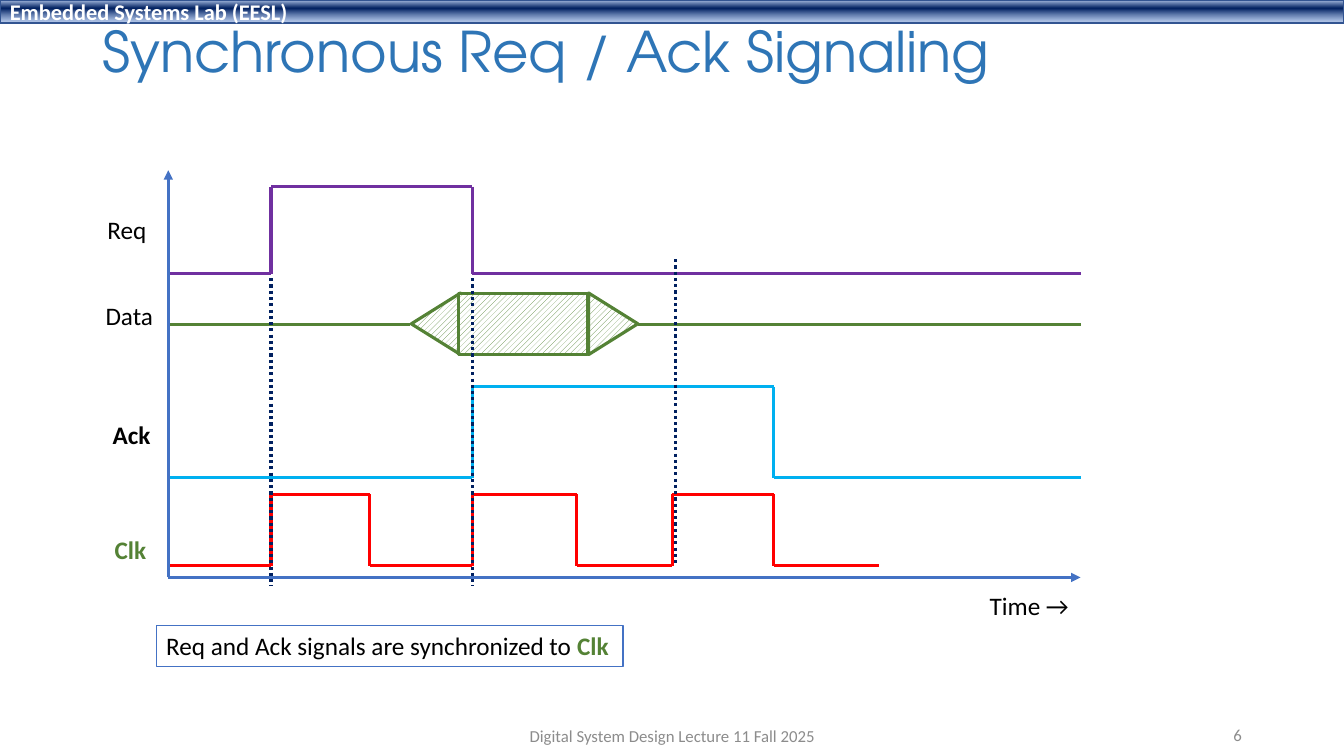
from dataclasses import dataclass
from itertools import pairwise

from lxml.etree import SubElement
from pptx import Presentation
from pptx.dml.color import RGBColor
from pptx.enum.dml import MSO_LINE_DASH_STYLE as Dash, MSO_PATTERN_TYPE as Pattern
from pptx.enum.shapes import MSO_CONNECTOR_TYPE as Connector, MSO_SHAPE as Shape
from pptx.enum.text import MSO_ANCHOR as Anchor, PP_ALIGN as Align
from pptx.oxml import parse_xml
from pptx.oxml.ns import nsdecls, qn
from pptx.util import Cm, Pt


@dataclass(frozen=True)
class Theme:
    body_font: str = "Calibri"
    title_font: str = "TeX Gyre Adventor"
    title_size: int = 40
    label_size: int = 18
    header_size: int = 16
    footer_size: int = 12
    signal_width: float = 2.25
    border_width: float = 1
    title: str = "2E75B6"
    text: str = "000000"
    white: str = "FFFFFF"
    footer: str = "8C8C8C"
    axis: str = "4472C4"
    marker: str = "002060"
    header_line: str = "325491"
    req: str = "7030A0"
    data: str = "548235"
    ack: str = "00B0F0"
    clk: str = "FF0000"
    # Position %, colour, opacity %
    header_stops: tuple = ((2, "ABC0E4", 100), (38, "002060", 100), (93, "7E9ED6", 64))


def rgb(value):
    return RGBColor.from_string(value)


class TimingSlide:
    def __init__(self, slide, theme):
        self.shapes = slide.shapes
        self.theme = theme

    def line(self, start, end, color, dash=None, arrow=False):
        connector = self.shapes.add_connector(
            Connector.STRAIGHT, *(Cm(value) for value in (*start, *end)))
        connector.line.color.rgb = rgb(color)
        connector.line.width = Pt(self.theme.signal_width)
        if dash:
            connector.line.dash_style = dash
        properties = connector._element.spPr
        if arrow:
            SubElement(properties.find(qn("a:ln")), qn("a:tailEnd"), type="triangle")
        SubElement(properties, qn("a:effectLst"))

    def waveform(self, points, color):
        for start, end in pairwise(points):
            self.line(start, end, color)

    def box(self, kind, position, color, width):
        shape = self.shapes.add_shape(kind, *(Cm(value) for value in position))
        shape.shadow.inherit = False
        shape.line.color.rgb = rgb(color)
        shape.line.width = Pt(width)
        return shape

    def hatched(self, kind, position, rotation=0):
        shape = self.box(kind, position, self.theme.data, self.theme.signal_width)
        shape.rotation = rotation
        shape.fill.patterned()
        shape.fill.pattern = Pattern.WIDE_UPWARD_DIAGONAL
        shape.fill.fore_color.rgb = rgb(self.theme.data)
        shape.fill.back_color.rgb = rgb(self.theme.white)

    def set_text(self, shape, parts, size, align=Align.LEFT, anchor=Anchor.TOP,
                 wrap=False, font=None):
        """Fill the shape with parts given as (text, colour, bold)."""
        frame = shape.text_frame
        frame.word_wrap = wrap
        frame.vertical_anchor = anchor
        paragraph = frame.paragraphs[0]
        paragraph.alignment = align
        for text, color, bold in parts:
            run = paragraph.add_run()
            run.text = text
            run.font.name = font or self.theme.body_font
            run.font.size = Pt(size)
            run.font.bold = bold
            run.font.color.rgb = rgb(color)
        return paragraph

    def text(self, position, text, color, size, bold=False, **layout):
        shape = self.shapes.add_textbox(*(Cm(value) for value in position))
        return self.set_text(shape, [(text, color, bold)], size, **layout)

    def header(self, position, text):
        theme = self.theme
        shape = self.box(Shape.RECTANGLE, position, theme.header_line, theme.border_width)
        stops = "".join(
            f'<a:gs pos="{place * 1000}"><a:srgbClr val="{color}">'
            f'<a:alpha val="{opacity * 1000}"/></a:srgbClr></a:gs>'
            for place, color, opacity in theme.header_stops)
        shape._element.spPr.find(qn("a:prstGeom")).addnext(parse_xml(
            f'<a:gradFill {nsdecls("a")} rotWithShape="1"><a:gsLst>{stops}</a:gsLst>'
            '<a:lin ang="5400000" scaled="0"/></a:gradFill>'))
        self.set_text(shape, [(text, theme.white, True)], theme.header_size,
                      anchor=Anchor.MIDDLE, wrap=True)

    def note(self, position, parts):
        theme = self.theme
        shape = self.box(Shape.RECTANGLE, position, theme.axis, theme.border_width)
        shape.fill.solid()
        shape.fill.fore_color.rgb = rgb(theme.white)
        self.set_text(shape, parts, theme.label_size)


def main():
    presentation = Presentation()
    presentation.slide_width, presentation.slide_height = Cm(33.87), Cm(19.05)
    theme = Theme()
    timing = TimingSlide(
        presentation.slides.add_slide(presentation.slide_layouts[6]), theme)

    # Header bar and title
    timing.header((0, 0, 33.87, 0.58), "Embedded Systems Lab (EESL)")
    title = timing.text((2.33, 0.38, 29.21, 1.96), "Synchronous Req / Ack Signaling",
                        theme.title, theme.title_size, anchor=Anchor.MIDDLE,
                        wrap=True, font=theme.title_font)
    title.line_spacing = 0.9

    # Shared time positions
    left, right = 4.24, 27.23
    rise_1, fall_1, rise_2, fall_2, rise_3, fall_3 = 6.83, 9.32, 11.9, 14.53, 16.94, 19.5

    # Clock: the level flips at every edge
    low, high = 14.25, 12.45
    clock, level = [(left, low)], low
    for edge in (rise_1, fall_1, rise_2, fall_2, rise_3, fall_3):
        clock.append((edge, level))
        level = high if level == low else low
        clock.append((edge, level))
    timing.waveform([*clock, (22.15, low)], theme.clk)

    # Request and acknowledge: one pulse each
    for start, end, low, high, color in (
            (rise_2, fall_3, 12.04, 9.75, theme.ack),
            (rise_1, rise_2, 6.9, 4.7, theme.req)):
        timing.waveform([(left, low), (start, low), (start, high),
                         (end, high), (end, low), (right, low)], color)

    # Data: idle line, hatched valid window, idle line
    data_level = 8.17
    timing.line((left, data_level), (10.34, data_level), theme.data)
    timing.hatched(Shape.ISOSCELES_TRIANGLE, (10.21, 7.54, 1.55, 1.24), 270)
    timing.hatched(Shape.RECTANGLE, (11.56, 7.39, 3.25, 1.55))
    timing.hatched(Shape.ISOSCELES_TRIANGLE, (14.68, 7.54, 1.55, 1.24), 90)
    timing.line((16.08, data_level), (right, data_level), theme.data)

    # Dotted markers at the rising clock edges
    for x, top, bottom in ((rise_1, 7.01, 14.76), (rise_2, 7.01, 14.76),
                           (17.02, 6.53, 14.25)):
        timing.line((x, top), (x, bottom), theme.marker, dash=Dash.ROUND_DOT)

    # Axes
    origin = (left, 14.55)
    for tip in ((left, 4.29), (right, 14.55)):
        timing.line(origin, tip, theme.axis, arrow=True)

    # Axis and signal labels
    for x, y, width, text, color, bold in (
            (24.69, 14.76, 2.54, "Time →", theme.text, False),
            (2.46, 5.28, 1.5, "Req", theme.text, False),
            (2.41, 7.44, 1.73, "Data", theme.text, False),
            (2.59, 10.44, 1.47, "Ack", theme.text, True),
            (2.64, 13.34, 1.32, "Clk", theme.data, True)):
        timing.text((x, y, width, 1.02), text, color, theme.label_size, bold)

    # Note
    timing.note((3.94, 15.77, 11.76, 1.02), [
        ("Req and Ack signals are synchronized to ", theme.text, False),
        ("Clk", theme.data, True)])

    # Footer and slide number
    for position, text, align in (
            ((11.23, 18.03, 11.43, 1.02), "Digital System Design Lecture 11 Fall 2025",
             Align.CENTER),
            ((23.93, 18.01, 7.62, 1.02), "6", Align.RIGHT)):
        timing.text(position, text, theme.footer, theme.footer_size,
                    align=align, anchor=Anchor.MIDDLE, wrap=True)

    presentation.save("out.pptx")


if __name__ == "__main__":
    main()
